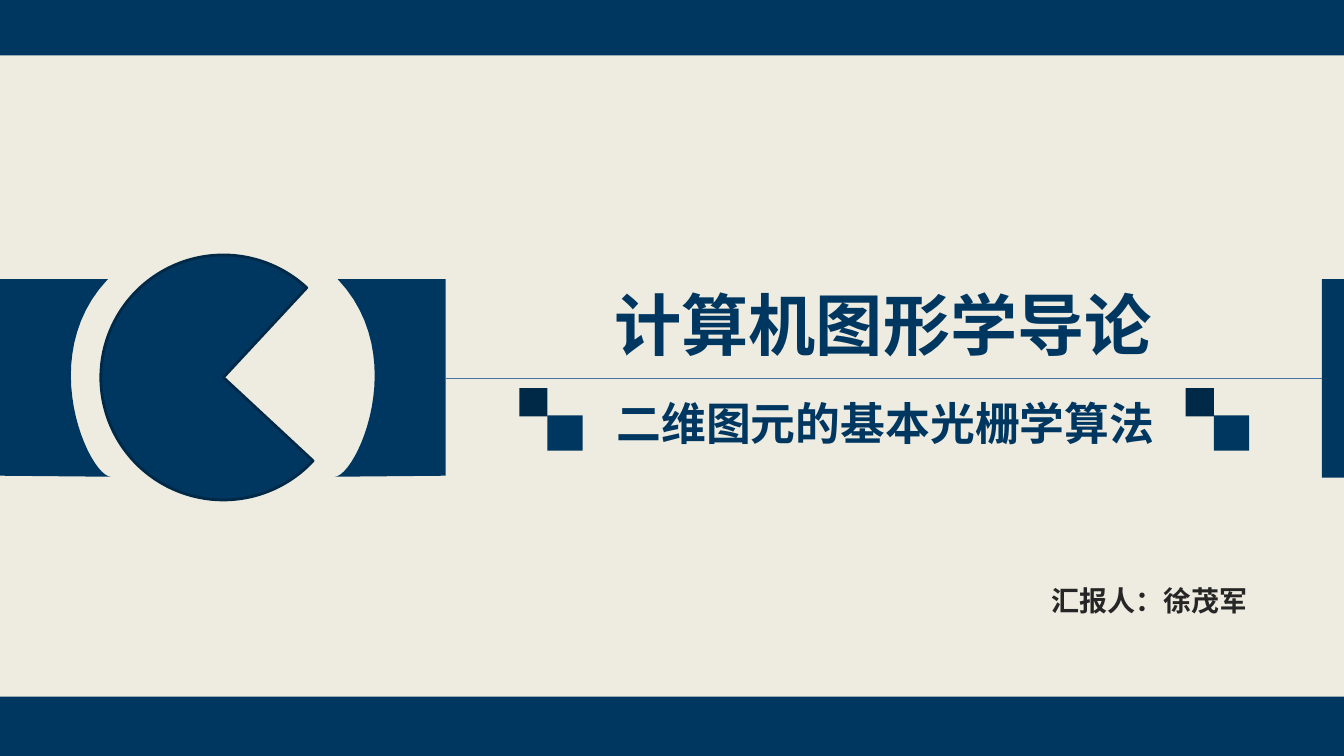
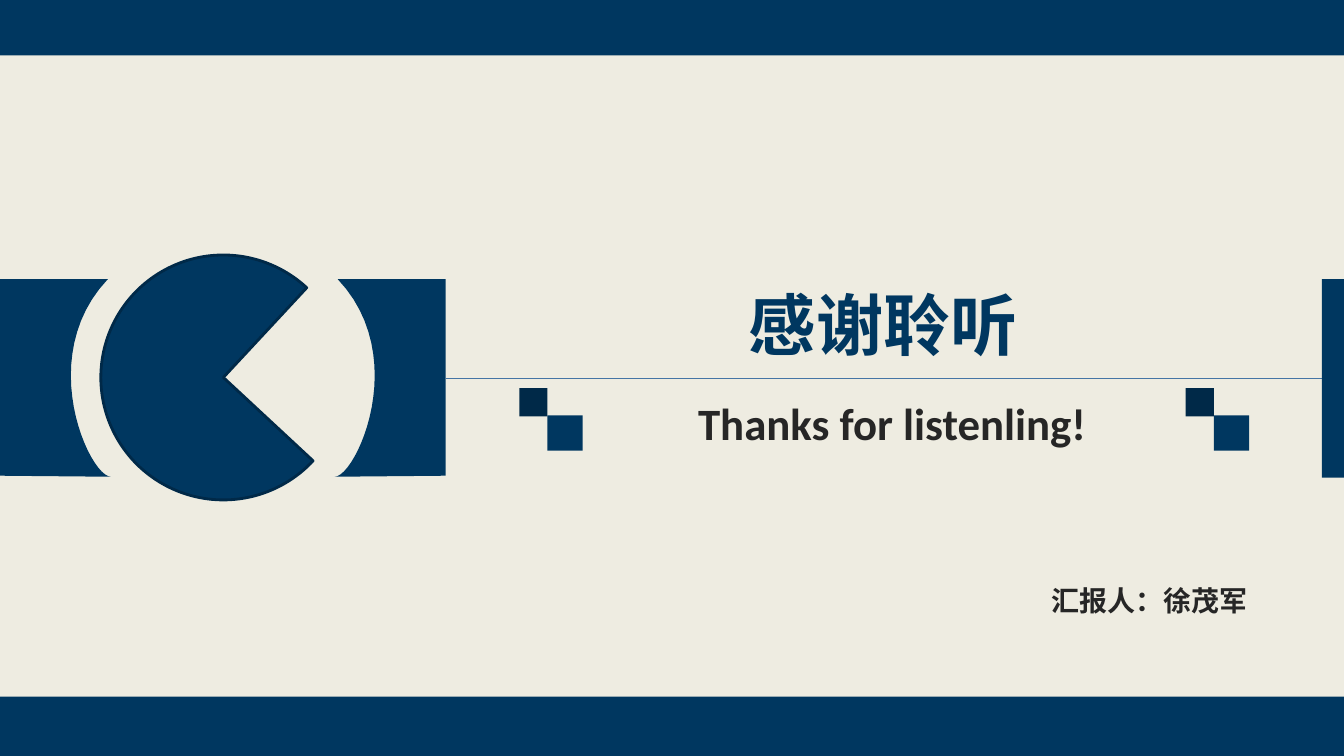
from pptx import Presentation
from pptx.dml.color import RGBColor
from pptx.enum import shapes, text
from pptx.oxml import parse_xml
from pptx.oxml.ns import nsdecls
from pptx.util import Inches, Pt

CREAM = RGBColor(0xEE, 0xEC, 0xE1)
NAVY = RGBColor(0x00, 0x37, 0x60)
DARK = RGBColor(0x00, 0x29, 0x48)
STEEL = RGBColor(0x45, 0x75, 0xA5)
INK = RGBColor(0x26, 0x26, 0x26)
WIDTH, HEIGHT = 13.33, 7.5
EDGE = 4.42  # right end of the emblem, where the rule starts
TOP = 2.77

# Per slide: title, then subtitle with its colour, left and width
PAGES = [
    ("计算机图形学导论", "二维图元的基本光栅学算法", NAVY, 5.96, 5.65),
    ("感谢聆听", "Thanks for listenling!", INK, 6.24, 5.22),
]

# Outline of the left wing: straight edges and a sampled Bézier curve
curve = [(1.07, TOP), (0.34, 3.54), (0.89, 4.73), (1.1, 4.73)]
wing = [(0, TOP)]
for step in range(25):
    t = step / 24
    parts = [(1 - t) ** 3, 3 * t * (1 - t) ** 2, 3 * t * t * (1 - t), t ** 3]
    wing.append(tuple(sum(w * p[i] for w, p in zip(parts, curve)) for i in (0, 1)))
wing.append((0, 4.72))
mirror = [(EDGE - x, y) for x, y in wing]


def paint(shape, fill):
    shape.shadow.inherit = False
    shape.fill.solid()
    shape.fill.fore_color.rgb = fill
    shape.line.fill.background()


def label(slide, box, words, size, font, color):
    frame = slide.shapes.add_textbox(*map(Inches, box)).text_frame
    frame.word_wrap = True
    frame.auto_size = text.MSO_AUTO_SIZE.SHAPE_TO_FIT_TEXT
    frame.text = words
    para = frame.paragraphs[0]
    para.alignment = text.PP_ALIGN.CENTER
    face = para.runs[0].font
    face.name, face.size, face.bold = font, Pt(size), True
    face.color.rgb = color


prs = Presentation()
prs.slide_width, prs.slide_height = Inches(WIDTH), Inches(HEIGHT)
back = prs.slide_master.background.fill
back.solid()
back.fore_color.rgb = CREAM

for title, sub, tint, left, width in PAGES:
    slide = prs.slides.add_slide(prs.slide_layouts[6])

    # Emblem: open disc between two wings
    disc = slide.shapes.add_shape(
        shapes.MSO_SHAPE.TEAR, Inches(1), Inches(2.53), Inches(2.43), Inches(2.43))
    disc.adjustments[0] = 0
    disc.rotation = 42.9
    paint(disc, NAVY)
    disc.line.color.rgb = DARK
    disc.line.width = Pt(2)
    for side in (wing, mirror):
        pts = [(Inches(x), Inches(y)) for x, y in side]
        pen = slide.shapes.build_freeform(*pts[0])
        pen.add_line_segments(pts[1:], close=True)
        paint(pen.convert_to_shape(), NAVY)

    # Title and subtitle
    label(slide, (EDGE, 2.76, 8.68, 0.91), title, 48, "Arial", NAVY)
    label(slide, (left, 3.88, width, 0.64), sub, 32, "Calibri", tint)

    # Rule
    rule = slide.shapes.add_connector(
        shapes.MSO_CONNECTOR.STRAIGHT, Inches(EDGE), Inches(3.75), Inches(13.11), Inches(3.75))
    rule.line.color.rgb = STEEL
    rule.line.width = Pt(0.5)
    rule._element.spPr.append(parse_xml("<a:effectLst %s/>" % nsdecls("a")))

    # End block, paired squares and page bands
    blocks = [(13.11, TOP, 0.24, 1.97, NAVY)]
    for x in (5.43, 12.04):
        blocks += [(x, 4.12, 0.35, 0.35, NAVY), (x - 0.28, 3.85, 0.28, 0.28, DARK)]
    blocks += [(0, y, WIDTH, 0.59, NAVY) for y in (-0.04, HEIGHT - 0.59)]
    for *box, fill in blocks:
        paint(slide.shapes.add_shape(shapes.MSO_SHAPE.RECTANGLE, *map(Inches, box)), fill)

    # Speaker
    label(slide, (10.02, 5.74, 2.76, 0.44), "汇报人：徐茂军", 20, "Arial", INK)

prs.save("out.pptx")
